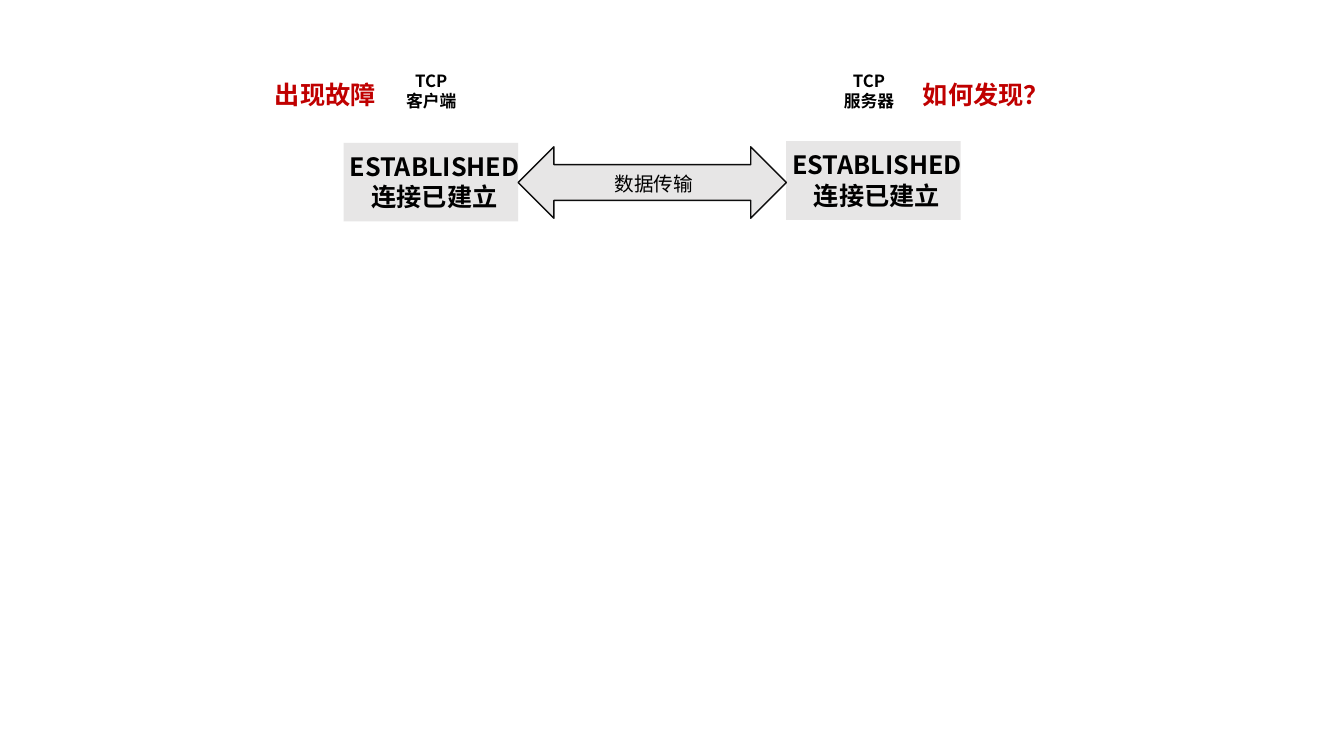
from lxml.etree import SubElement
from pptx import Presentation
from pptx.dml.color import RGBColor
from pptx.enum.shapes import MSO_SHAPE as Preset
from pptx.enum.text import PP_ALIGN as Align
from pptx.oxml.ns import qn
from pptx.util import Cm, Pt

FONT = "Noto Sans CJK SC"
BLACK, RED, GRAY, OUTLINE = "000000", "C00000", "E7E6E6", "0D0D0D"


def color(hex_string):
    return RGBColor.from_string(hex_string)


def add_text(slide, box, text, size, text_color=BLACK, bold=True, align=Align.LEFT):
    shape = slide.shapes.add_textbox(*map(Cm, box))
    shape.text_frame.word_wrap = True
    shape.text_frame.text = text
    for paragraph in shape.text_frame.paragraphs:
        paragraph.alignment = align
        for run in paragraph.runs:
            run.font.name = FONT
            run.font.size = Pt(size)
            run.font.bold = bold
            run.font.color.rgb = color(text_color)
            east_asian = SubElement(run.font._element, qn("a:ea"))
            east_asian.set("typeface", FONT)


def add_gray_shape(slide, preset, box):
    shape = slide.shapes.add_shape(preset, *map(Cm, box))
    shape.shadow.inherit = False
    shape.fill.solid()
    shape.fill.fore_color.rgb = color(GRAY)
    shape.line.fill.background()
    return shape


def add_endpoint(slide, box, role, role_offset, state_offset, remark, remark_offset):
    left, top, width, height = box
    add_text(slide, (left + role_offset, top, 1.88, 1.27), f"TCP\n{role}", 12,
             align=Align.CENTER)
    state_top = top + state_offset
    add_gray_shape(slide, Preset.RECTANGLE,
                   (left, state_top, width, height - state_offset))
    add_text(slide, (left - 0.2, state_top + 0.09, 4.98, 1.8),
             "ESTABLISHED\n连接已建立", 18, align=Align.CENTER)
    add_text(slide, (left + remark_offset, top + 0.23, 3.96, 1.02), remark, 18, RED)


def add_transfer(slide, box):
    left, top, width, height = box
    arrow = add_gray_shape(slide, Preset.LEFT_RIGHT_ARROW, box)
    arrow.line.color.rgb = color(OUTLINE)
    arrow.line.width = Pt(1)
    add_text(slide, (left + 2.18, top + 0.52, 3.45, 0.86), "数据传输", 14, bold=False)


presentation = Presentation()
presentation.slide_width, presentation.slide_height = Cm(33.87), Cm(19.05)
slide = presentation.slides.add_slide(presentation.slide_layouts[6])
add_endpoint(slide, (8.66, 1.65, 4.4, 3.93), "客户端", 1.27, 1.95, "出现故障", -1.98)
add_endpoint(slide, (19.81, 1.65, 4.4, 3.89), "服务器", 1.15, 1.91, "如何发现？", 3.2)
add_transfer(slide, (13.06, 3.7, 6.76, 1.8))
presentation.save("out.pptx")
